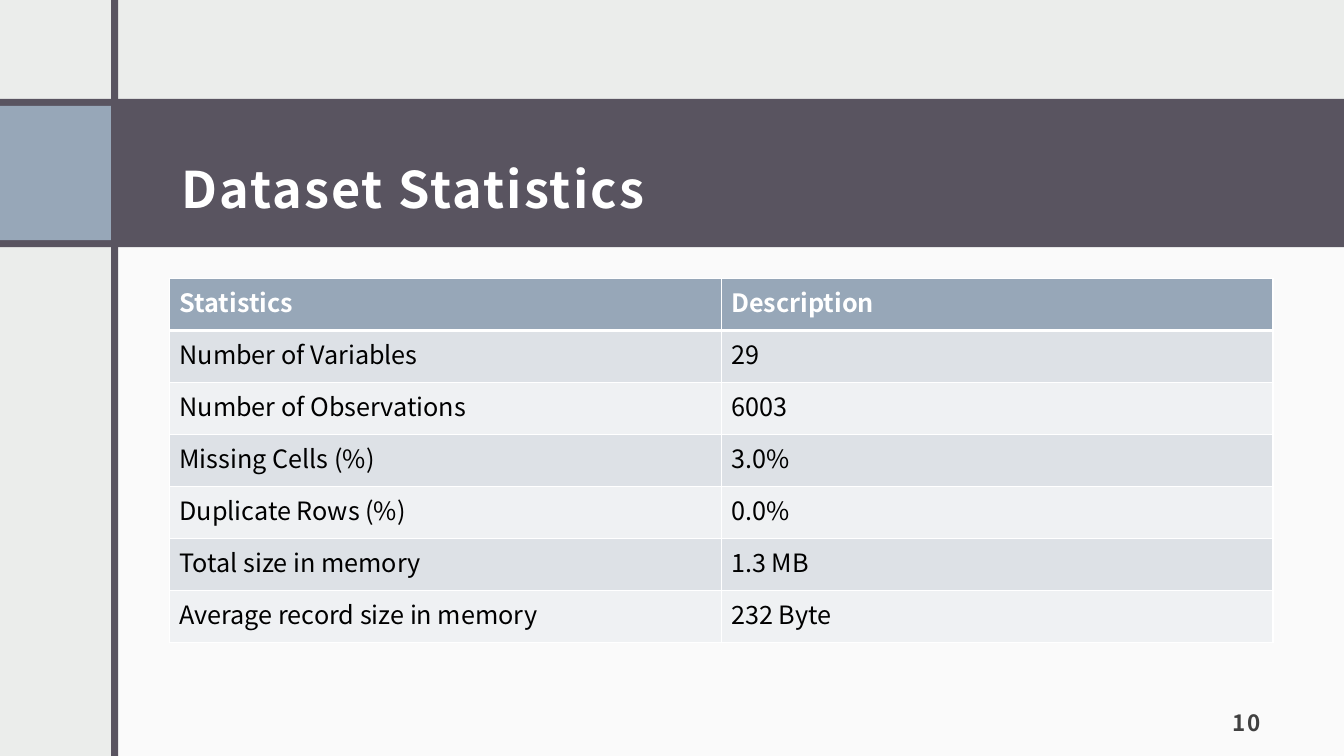
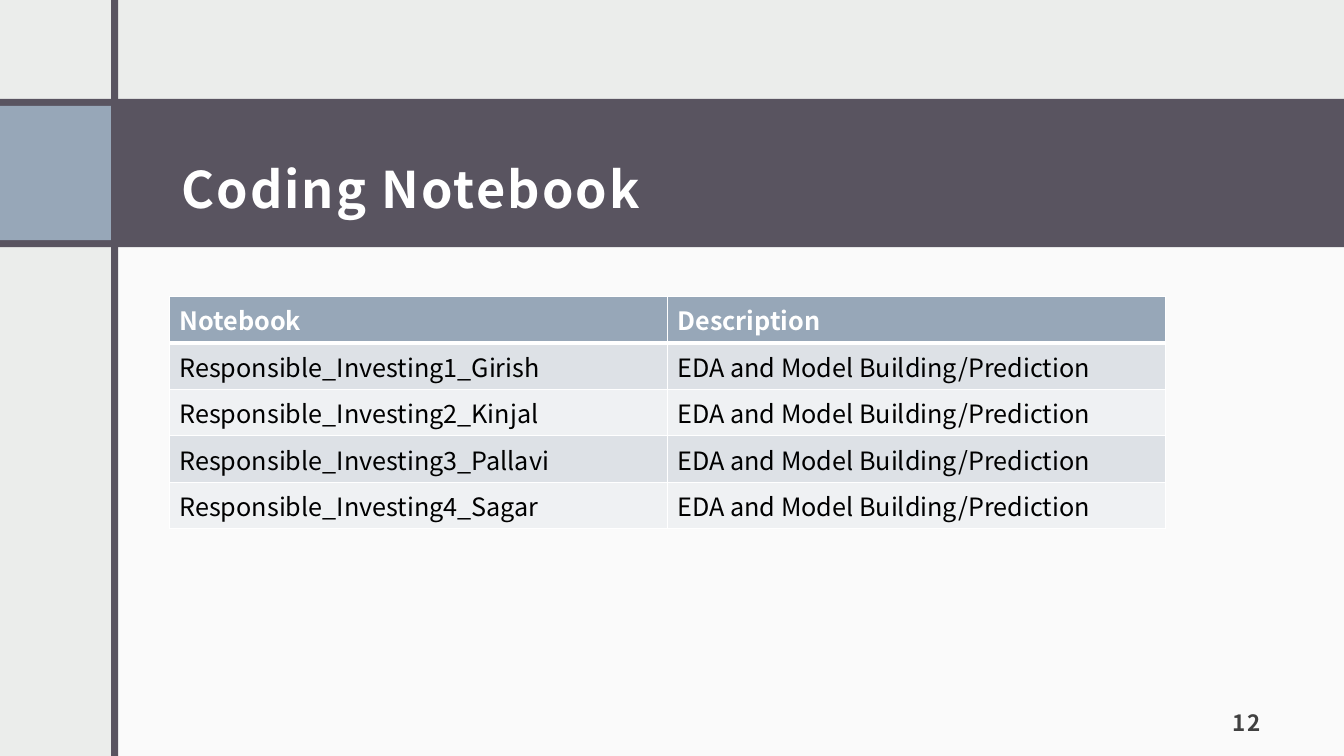
from lxml.etree import SubElement
from pptx import Presentation
from pptx.dml.color import RGBColor
from pptx.enum.shapes import MSO_SHAPE as Shape
from pptx.enum.text import MSO_ANCHOR as Anchor, PP_ALIGN as Align
from pptx.oxml.ns import qn
from pptx.util import Cm, Pt

WIDTH, HEIGHT = 33.87, 19.05
BAR = 0.18
LEFT, CONTENT_WIDTH = 4.27, 27.81


def color(hex_string):
    return RGBColor.from_string(hex_string)


class Deck:
    FONT = "Noto Sans CJK JP"
    BACKGROUND, PANEL = "EBEDEB", "FAFAFA"
    DARK, ACCENT = "595460", "97A7B8"
    WHITE, BLACK, GRAY = "FFFFFF", "000000", "404040"
    ROW_FILLS = ("DDE1E6", "EFF1F3")

    def __init__(self):
        self.presentation = Presentation()
        self.presentation.slide_width = Cm(WIDTH)
        self.presentation.slide_height = Cm(HEIGHT)
        self.slide = None

    def new_slide(self, title, number):
        layout = self.presentation.slide_layouts[6]
        self.slide = self.presentation.slides.add_slide(layout)
        fill = self.slide.background.fill
        fill.solid()
        fill.fore_color.rgb = color(self.BACKGROUND)

        # Content panel, title band, accent square and vertical bar
        self.rectangle(2.9, 5.92, WIDTH - 2.9, HEIGHT - 5.92, self.PANEL)
        self.rectangle(0, 2.49, WIDTH, 3.74, self.DARK)
        self.rectangle(0, 2.49 + BAR, 2.8, 3.74 - 2 * BAR, self.ACCENT)
        self.rectangle(2.8, 0, BAR, HEIGHT, self.DARK)

        # Title and slide number
        self.text(title, LEFT, 2.9, CONTENT_WIDTH, 2.87, 36, self.WHITE,
                  Anchor.MIDDLE, line_spacing=1.5)
        self.text(number, 29.36, 17.53, 2.72, 1.27, 16, self.GRAY,
                  Anchor.BOTTOM, align=Align.RIGHT)

    def rectangle(self, left, top, width, height, fill):
        shape = self.slide.shapes.add_shape(
            Shape.RECTANGLE, Cm(left), Cm(top), Cm(width), Cm(height))
        shape.shadow.inherit = False
        shape.fill.solid()
        shape.fill.fore_color.rgb = color(fill)
        shape.line.fill.background()

    def run(self, paragraph, text, size, font_color, bold, spacing=0):
        run = paragraph.add_run()
        run.text = text
        run.font.name = self.FONT
        run.font.size = Pt(size)
        run.font.bold = bold
        run.font.color.rgb = color(font_color)
        if spacing:
            run.font._element.set("spc", str(int(spacing * 100)))

    def text(self, text, left, top, width, height, size, font_color, anchor,
             align=Align.LEFT, line_spacing=1.0):
        box = self.slide.shapes.add_textbox(
            Cm(left), Cm(top), Cm(width), Cm(height))
        frame = box.text_frame
        frame.word_wrap = True
        frame.vertical_anchor = anchor
        frame.margin_left = frame.margin_right = frame.margin_top = Cm(0.3)
        frame.margin_bottom = Cm(0.25)
        paragraph = frame.paragraphs[0]
        paragraph.alignment = align
        paragraph.line_spacing = line_spacing
        self.run(paragraph, text, size, font_color, True, spacing=1.5)

    def borders(self, cell, top, bottom):
        properties = cell._tc.get_or_add_tcPr()
        sides = (("lnL", 1), ("lnR", 1), ("lnT", top), ("lnB", bottom))
        for index, (side, width) in enumerate(sides):
            line = SubElement(properties, qn(f"a:{side}"), w=str(Pt(width)))
            fill = SubElement(line, qn("a:solidFill"))
            SubElement(fill, qn("a:srgbClr"), val=self.WHITE)
            properties.insert(index, line)  # lines precede the cell fill

    def table(self, rows, top, width, row_height):
        column_count = len(rows[0])
        table = self.slide.shapes.add_table(
            len(rows), column_count, Cm(LEFT), Cm(top), Cm(width),
            Cm(row_height * len(rows))).table
        for column in table.columns:
            column.width = Cm(width / column_count)
        for row_index, values in enumerate(rows):
            header = row_index == 0
            fill = self.ACCENT if header else self.ROW_FILLS[(row_index - 1) % 2]
            table.rows[row_index].height = Cm(row_height)
            for column_index, value in enumerate(values):
                cell = table.cell(row_index, column_index)
                cell.fill.solid()
                cell.fill.fore_color.rgb = color(fill)
                self.borders(cell, top=3 if row_index == 1 else 1,
                             bottom=3 if header else 1)
                self.run(cell.text_frame.paragraphs[0], value, 18,
                         self.WHITE if header else self.BLACK, header)


def main():
    deck = Deck()

    # Dataset statistics
    deck.new_slide("Dataset Statistics", "10")
    deck.table([
        ("Statistics", "Description"),
        ("Number of Variables", "29"),
        ("Number of Observations", "6003"),
        ("Missing Cells (%)", "3.0%"),
        ("Duplicate Rows (%)", "0.0%"),
        ("Total size in memory", "1.3 MB"),
        ("Average record size in memory", "232 Byte"),
    ], top=7.02, width=CONTENT_WIDTH, row_height=1.31)

    # Notebooks by author
    deck.new_slide("Coding Notebook", "12")
    authors = ("Girish", "Kinjal", "Pallavi", "Sagar")
    notebooks = [
        (f"Responsible_Investing{number}_{author}",
         "EDA and Model Building/Prediction")
        for number, author in enumerate(authors, start=1)
    ]
    deck.table([("Notebook", "Description")] + notebooks,
               top=7.47, width=25.1, row_height=1.17)

    deck.presentation.save("out.pptx")


if __name__ == "__main__":
    main()
